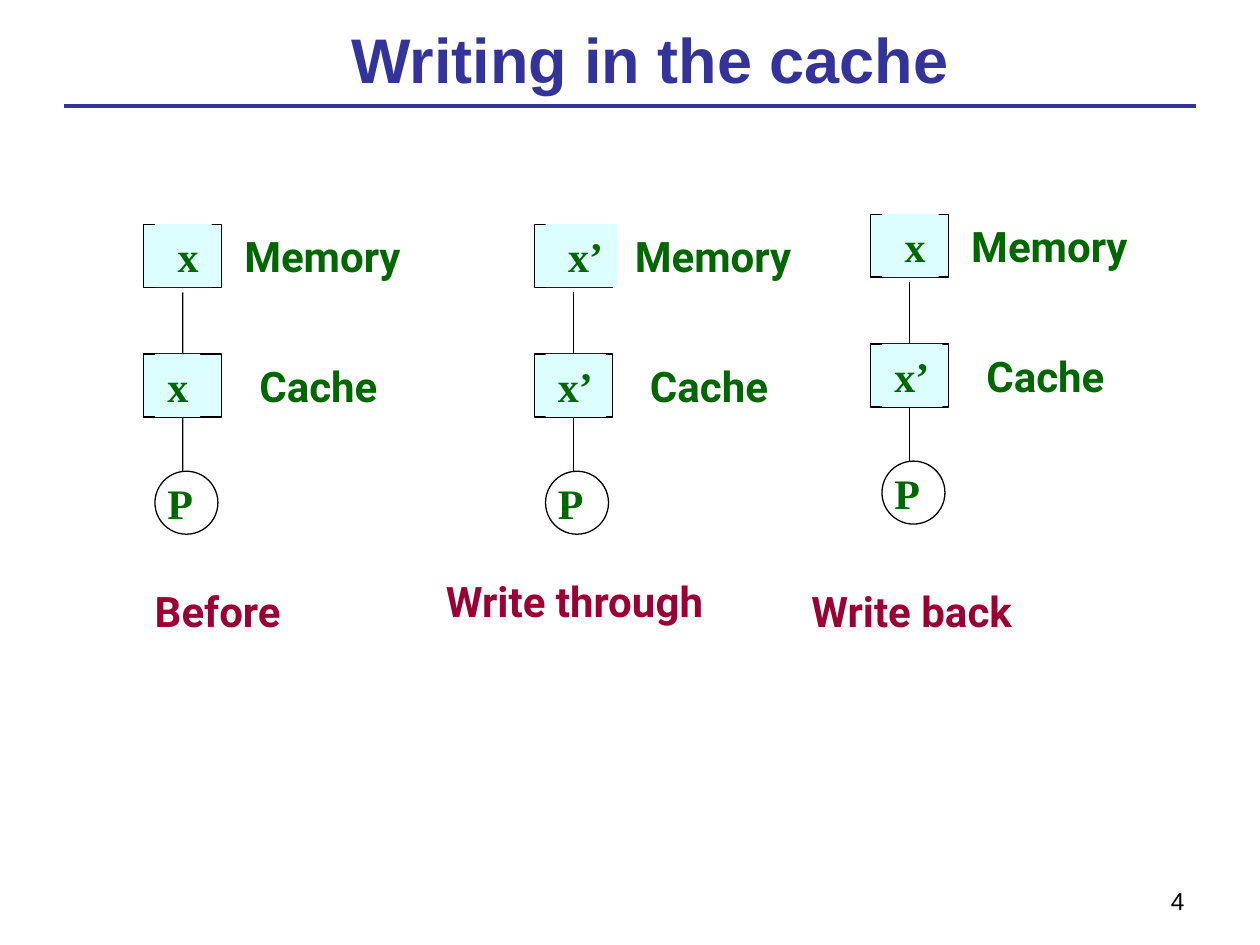
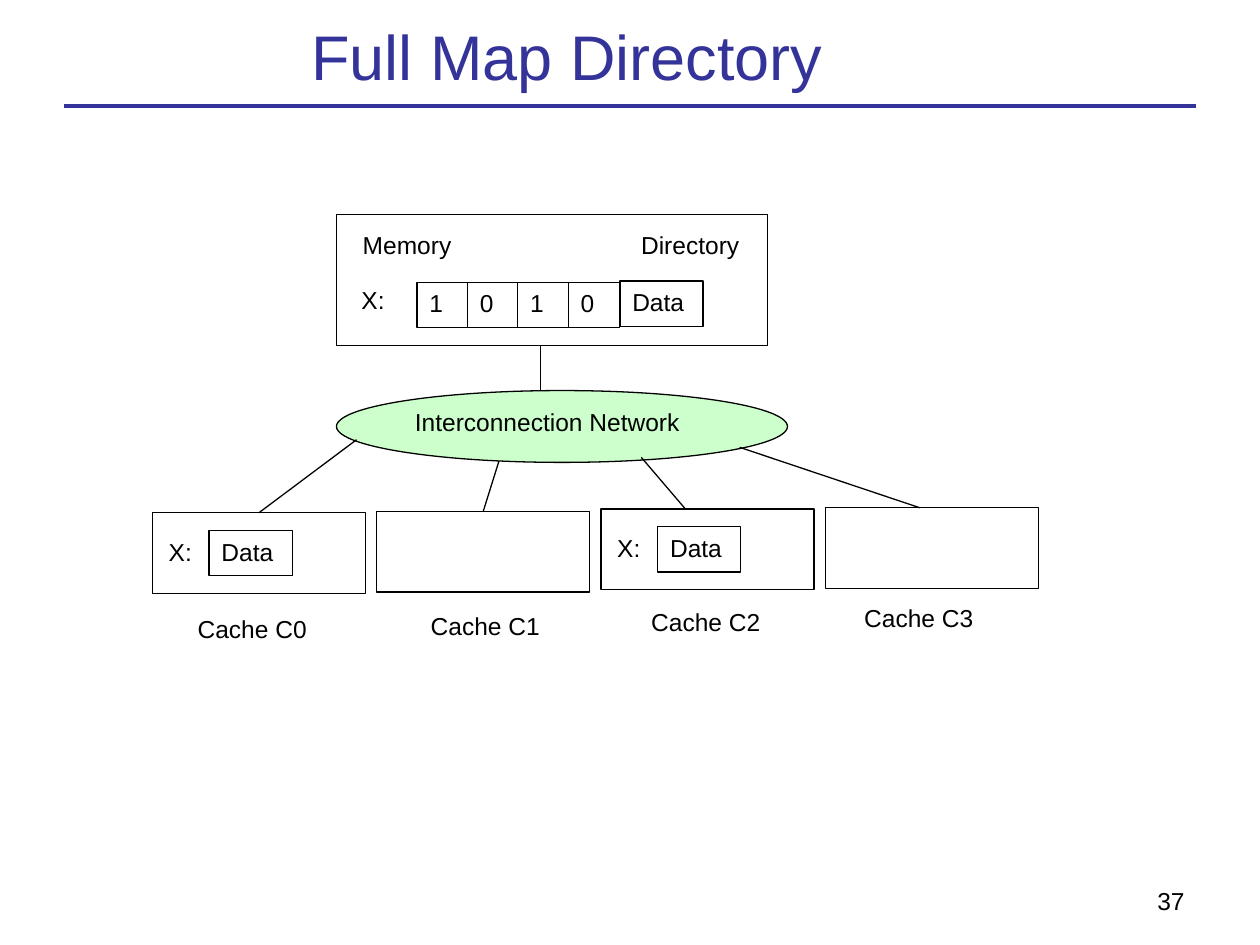
from dataclasses import dataclass

from lxml import etree
from pptx import Presentation
from pptx.dml.color import RGBColor
from pptx.enum import shapes, text
from pptx.oxml import ns
from pptx.util import Inches, Pt


@dataclass(frozen=True)
class Theme:
    """Colours, fonts and sizes shared by the slides."""
    blue: str = "333399"
    green: str = "006600"
    red: str = "990033"
    black: str = "000000"
    white: str = "FFFFFF"
    aqua: str = "DDFEFF"
    mint: str = "CCFFCC"
    sans: str = "Arial"
    round: str = "Roboto"
    serif: str = "Times New Roman"
    head: int = 36
    big: int = 24
    small: int = 14
    thin: float = 0.75
    thick: float = 2.25


T = Theme()
RECT = shapes.MSO_SHAPE.RECTANGLE
OVAL = shapes.MSO_SHAPE.OVAL


def style(frame, words, font, size, color, bold=False, align=text.PP_ALIGN.LEFT):
    """Fill a text frame and format its runs."""
    frame.text = words
    for para in frame.paragraphs:
        para.alignment = align
        for run in para.runs:
            run.font.name = font
            run.font.size = Pt(size)
            run.font.bold = bold
            run.font.color.rgb = RGBColor.from_string(color)


def box(slide, at, words="", fill=T.white, edge=True, form=RECT):
    """Add a preset shape with small text at its top left."""
    shape = slide.shapes.add_shape(form, *map(Inches, at))
    shape.shadow.inherit = False
    if fill:
        shape.fill.solid()
        shape.fill.fore_color.rgb = RGBColor.from_string(fill)
    else:
        shape.fill.background()
    if edge:
        shape.line.color.rgb = RGBColor.from_string(T.black)
        shape.line.width = Pt(T.thin)
    else:
        shape.line.fill.background()
    if words:
        shape.text_frame.vertical_anchor = text.MSO_ANCHOR.TOP
        style(shape.text_frame, words, T.sans, T.small, T.black)
    return shape


def label(slide, at, words, font, color=T.green, fill=None, inset=0.1):
    """Add a large bold label that fits its words."""
    item = slide.shapes.add_textbox(*map(Inches, at))
    if fill:
        item.fill.solid()
        item.fill.fore_color.rgb = RGBColor.from_string(fill)
    frame = item.text_frame
    frame.word_wrap = False
    frame.auto_size = text.MSO_AUTO_SIZE.SHAPE_TO_FIT_TEXT
    frame.margin_left = Inches(inset)
    style(frame, words, font, T.big, color, bold=True)


def wire(slide, start, end, color=T.black, width=T.thin):
    """Add a straight line without a shadow."""
    line = slide.shapes.add_connector(
        shapes.MSO_CONNECTOR.STRAIGHT, *map(Inches, (*start, *end)))
    line.line.color.rgb = RGBColor.from_string(color)
    line.line.width = Pt(width)
    etree.SubElement(line._element.spPr, ns.qn("a:effectLst"))
    return line


def page(deck, words, at, number, bold=False):
    """Add a slide with its title, rule and page number."""
    slide = deck.slides.add_slide(deck.slide_layouts.get_by_name("Title Only"))
    title = slide.shapes.title
    title.left, title.top, title.width, title.height = map(Inches, at)
    frame = title.text_frame
    frame.auto_size = text.MSO_AUTO_SIZE.NONE
    frame.vertical_anchor = text.MSO_ANCHOR.MIDDLE
    style(frame, words, T.sans, T.head, T.blue, bold, text.PP_ALIGN.CENTER)
    wire(slide, (0.51, 0.84), (9.49, 0.84), T.blue, T.thick)
    foot = slide.shapes.add_textbox(*map(Inches, (7.17, 6.98, 2.33, 0.37)))
    foot.text_frame.word_wrap = True
    style(foot.text_frame, number, T.sans, T.small, T.black,
          align=text.PP_ALIGN.RIGHT)
    return slide


def stack(slide, left, top, memory, cache):
    """Draw memory, cache and processor in one column."""
    mid, low, base = left + 0.31, top + 1.03, top + 1.96
    box(slide, (left + 0.09, base, 0.5, 0.5), fill=None, form=OVAL)
    label(slide, (left + 0.09, base, 0.4, 0.5), "P", T.serif)
    box(slide, (left, top, 0.62, 0.5), fill=T.aqua)
    store = box(slide, (left, low, 0.62, 0.5), fill=T.aqua)
    wide = 0.12 if "’" in memory else 0
    label(slide, (left + 0.09, top, 0.45 + wide, 0.5), memory, T.serif,
          fill=T.aqua, inset=0.18)
    wide = 0.12 if "’" in cache else 0
    label(slide, (left + 0.09, low, 0.36 + wide, 0.5), cache, T.serif,
          fill=T.aqua)
    wire(slide, (mid, top + 0.54), (mid, low)).end_connect(store, 0)
    wire(slide, (mid, low + 0.5), (mid, base)).begin_connect(store, 2)
    label(slide, (left + 0.7, top, 1.58, 0.5), "Memory", T.round)
    label(slide, (left + 0.82, low, 1.2, 0.5), "Cache", T.round)


def data(slide, left, top):
    """Add a framed data cell."""
    box(slide, (left, top, 0.66, 0.36), "Data")


def writing(deck):
    """Build the slide on writing in the cache."""
    slide = page(deck, "Writing in the cache", (0.9, 0.13, 8.52, 0.66), "4", True)
    cases = (
        (1.14, 1.78, "x", "x", "Before", (1.13, 4.6, 1.3, 0.5)),
        (4.24, 1.78, "x’", "x’", "Write through", (3.44, 4.52, 2.57, 0.5)),
        (6.91, 1.7, "x", "x’", "Write back", (6.34, 4.6, 1.99, 0.5)),
    )
    for left, top, memory, cache, name, spot in cases:
        stack(slide, left, top, memory, cache)
        label(slide, spot, name, T.round, T.red)


def full_map(deck):
    """Build the slide on the full map directory."""
    slide = page(deck, "Full Map Directory", (2.32, 0, 4.36, 0.88), "37")
    box(slide, (2.67, 1.7, 3.42, 1.04))
    box(slide, (2.78, 1.78, 0.92, 0.37), "Memory", edge=False)
    box(slide, (4.99, 1.78, 1, 0.45), "Directory", edge=False)
    box(slide, (2.77, 2.21, 0.45, 0.4), "X:", edge=False)
    data(slide, 4.92, 2.23)
    for i, bit in enumerate("1010"):
        box(slide, (3.31 + 0.4 * i, 2.24, 0.41, 0.36), bit)
    box(slide, (2.67, 3.1, 3.58, 0.57), "Interconnection Network", T.mint, form=OVAL)
    wire(slide, (4.29, 2.74), (4.29, 3.1))

    caches = (
        (4.07, True, (2.83, 3.49), 2.03, (1.47, 4.82, 1.1, 0.45)),
        (4.06, False, (3.96, 3.66), 3.84, (3.32, 4.8, 1.14, 0.45)),
        (4.04, True, (5.09, 3.63), 5.44, (5.07, 4.77, 1.23, 0.45)),
        (4.03, False, (5.87, 3.55), 7.3, (6.76, 4.74, 1.25, 0.39)),
    )
    for i, (top, full, start, end, spot) in enumerate(caches):
        left = 1.21 + 1.78 * i
        cache = box(slide, (left, top, 1.69, 0.64))
        line = wire(slide, start, (end, top))
        if abs(left + 0.845 - end) < 0.05:
            line.end_connect(cache, 0)
        if full:
            box(slide, (left + 0.03, top + 0.14, 0.42, 0.37), "X:", edge=False)
            data(slide, left + 0.45, top + 0.14)
        box(slide, spot, f"Cache C{i}", edge=False)


def main():
    """Build and save the deck."""
    deck = Presentation()
    deck.slide_width, deck.slide_height = Inches(10), Inches(7.5)
    writing(deck)
    full_map(deck)
    deck.save("out.pptx")


if __name__ == "__main__":
    main()
